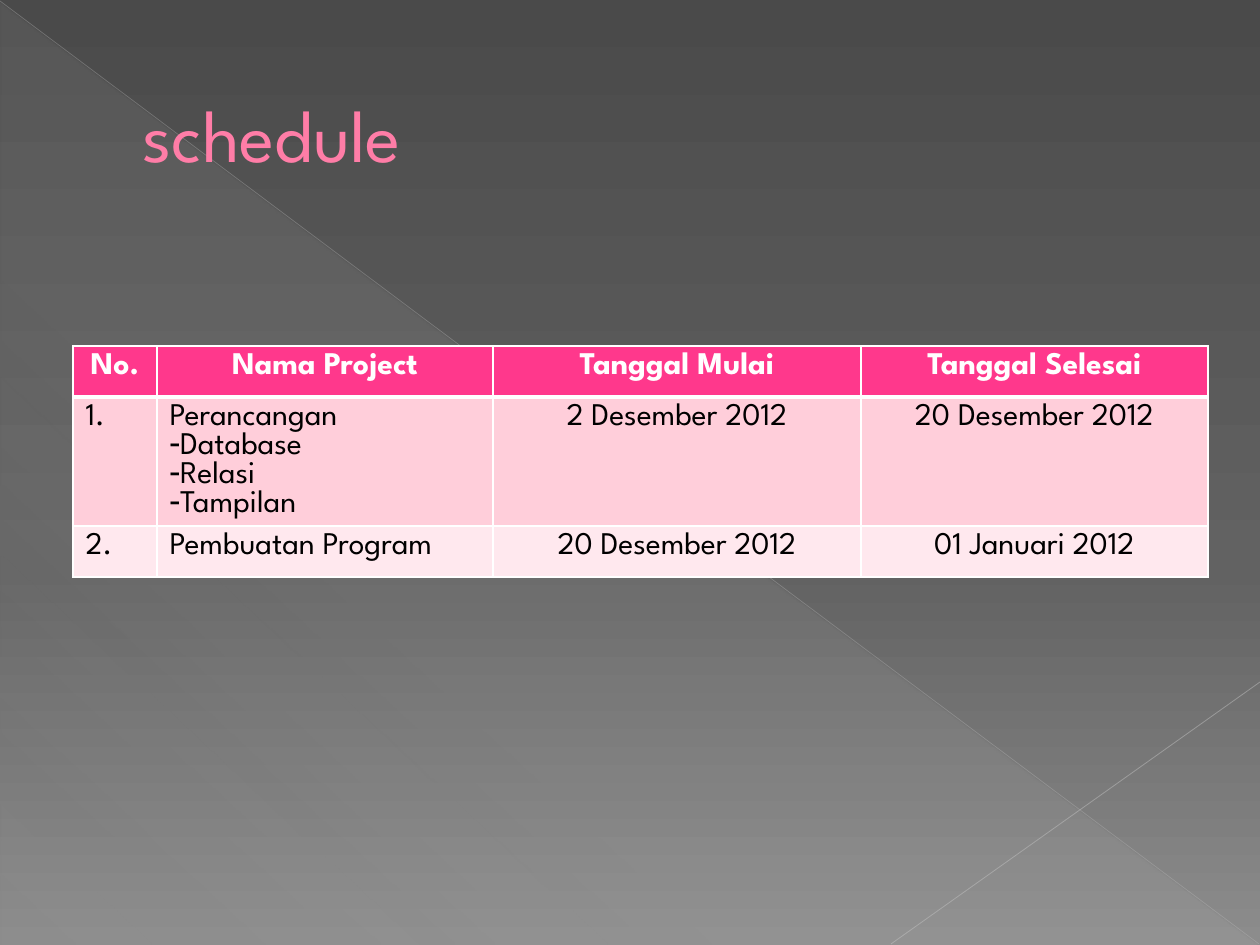
import dataclasses

import lxml.etree
import pptx
import pptx.dml.color
import pptx.enum.shapes
import pptx.enum.text
import pptx.oxml.ns
import pptx.util

PX = 914400 / 126
SLIDE_BOX = (0, 0, 1260, 945)
TITLE_BOX = (63, 37, 1134, 193)
SCHEDULE_BOX = (73, 346, 1135, 231)
COLUMN_WIDTHS = (84, 336, 368, 347)
ROW_HEIGHTS = (51, 129, 51)
LEFT = pptx.enum.text.PP_ALIGN.LEFT
CENTER = pptx.enum.text.PP_ALIGN.CENTER
COLUMN_ALIGNS = (LEFT, LEFT, CENTER, CENTER)
BULLET = "-"
SCHEDULE = (
    ("No.", "Nama Project", "Tanggal Mulai", "Tanggal Selesai"),
    ("1.", "Perancangan\n-Database\n-Relasi\n-Tampilan",
     "2 Desember 2012", "20 Desember 2012"),
    ("2.", "Pembuatan Program", "20 Desember 2012", "01 Januari 2012"),
)


@dataclasses.dataclass(frozen=True)
class Theme:
    font: str = "League Spartan"
    title_size: float = 42
    table_size: float = 18
    title: str = "FF7DA7"
    title_outline: str = "B12761"
    header_text: str = "FFFFFF"
    body_text: str = "000000"
    border: str = "FFFFFF"
    row_fills: tuple = ("FF388C", "FFCEDA", "FFE8EE")
    # Gradient stops: position, colour, opacity, all but colour in percent
    background: tuple = ((0, "4A4A4A", 100), (60, "626262", 100), (100, "8C8C8C", 100))
    triangle: tuple = ((0, "D2D2D2", 10), (70, "D2D2D2", 8), (100, "D2D2D2", 1))
    diagonal: str = "BFBFBF"
    corner_line: str = "C6C6C6"


THEME = Theme()


def emu(px):
    return round(px * PX)


def rgb(color):
    return pptx.dml.color.RGBColor.from_string(color)


def add_xml(parent, tag, **attributes):
    return lxml.etree.SubElement(parent, pptx.oxml.ns.qn(tag), attributes)


def add_color(parent, color, opacity=100):
    color_xml = add_xml(parent, "a:srgbClr", val=color)
    if opacity < 100:
        add_xml(color_xml, "a:alpha", val=str(opacity * 1000))


def set_gradient(fill, owner, stops, angle):
    """Fill with any number of stops; angle runs clockwise in degrees."""
    fill.gradient()
    fill.gradient_angle = 360 - angle
    stop_list = next(owner.iter(pptx.oxml.ns.qn("a:gsLst")))
    for default_stop in list(stop_list):
        stop_list.remove(default_stop)
    for position, color, opacity in stops:
        stop = add_xml(stop_list, "a:gs", pos=str(position * 1000))
        add_color(stop, color, opacity)


def write_text(frame, text, *, size, color, align=LEFT, bold=False, indent=0):
    """Write one paragraph per line; a leading dash becomes a bullet."""
    for index, line in enumerate(text.split("\n")):
        paragraph = frame.add_paragraph() if index else frame.paragraphs[0]
        paragraph.alignment = align
        properties = paragraph._p.get_or_add_pPr()
        properties.set("marL", str(emu(indent)))
        properties.set("indent", "0")
        if line.startswith(BULLET):
            add_xml(properties, "a:buChar", char=BULLET)
        run = paragraph.add_run()
        run.text = line.removeprefix(BULLET)
        run.font.name = THEME.font
        run.font.size = pptx.util.Pt(size)
        run.font.bold = bold
        run.font.color.rgb = rgb(color)


def add_line(slide, start, end, color, width, opacity):
    line = slide.shapes.add_connector(
        pptx.enum.shapes.MSO_CONNECTOR.STRAIGHT, *map(emu, start + end))
    line.line.width = pptx.util.Pt(width)
    line.line.color.rgb = rgb(color)
    color_xml = next(line._element.spPr.iter(pptx.oxml.ns.qn("a:srgbClr")))
    add_xml(color_xml, "a:alpha", val=str(opacity * 1000))
    add_xml(line._element.spPr, "a:effectLst")


def draw_backdrop(slide, box):
    left, top, width, height = box
    right, bottom = left + width, top + height
    set_gradient(slide.background.fill, slide._element, THEME.background, 90)
    triangle = slide.shapes.add_shape(
        pptx.enum.shapes.MSO_SHAPE.RIGHT_TRIANGLE,
        *map(emu, (left + 1, top + 3, width - 3, height - 3)))
    triangle.shadow.inherit = False
    triangle.line.fill.background()
    set_gradient(triangle.fill, triangle._element, THEME.triangle, 133)
    add_line(slide, (left, top + 1), (right - 1, bottom - 1), THEME.diagonal, 0.39, 35)
    add_line(slide, (right, top + 682), (left + 891, bottom - 1),
             THEME.corner_line, 0.47, 45)


def place_title(slide, box, text):
    title = slide.shapes.title
    title.left, title.top, title.width, title.height = map(emu, box)
    title.text_frame.vertical_anchor = pptx.enum.text.MSO_ANCHOR.MIDDLE
    write_text(title.text_frame, text, size=THEME.title_size, color=THEME.title, indent=67)
    font_xml = title.text_frame.paragraphs[0].runs[0].font._element
    outline = add_xml(font_xml, "a:ln", w=str(pptx.util.Pt(0.5)))
    add_color(add_xml(outline, "a:solidFill"), THEME.title_outline)
    font_xml.insert(0, outline)
    # Bring the title in front of the backdrop
    slide.shapes._spTree.append(title._element)


def set_borders(cell, top, bottom):
    properties = cell._tc.get_or_add_tcPr()
    for side, width in (("L", 1), ("R", 1), ("T", top), ("B", bottom)):
        border = add_xml(properties, f"a:ln{side}", w=str(pptx.util.Pt(width)))
        add_color(add_xml(border, "a:solidFill"), THEME.border)


def draw_schedule(slide, box):
    table = slide.shapes.add_table(
        len(SCHEDULE), len(COLUMN_WIDTHS), *map(emu, box)).table
    for column, width in zip(table.columns, COLUMN_WIDTHS):
        column.width = emu(width)
    for row_index, entries in enumerate(SCHEDULE):
        table.rows[row_index].height = emu(ROW_HEIGHTS[row_index])
        header = row_index == 0
        for column_index, entry in enumerate(entries):
            cell = table.cell(row_index, column_index)
            set_borders(cell, top=3 if row_index == 1 else 1, bottom=3 if header else 1)
            cell.fill.solid()
            cell.fill.fore_color.rgb = rgb(THEME.row_fills[row_index])
            write_text(cell.text_frame, entry, size=THEME.table_size, bold=header,
                       color=THEME.header_text if header else THEME.body_text,
                       align=CENTER if header else COLUMN_ALIGNS[column_index])


def main():
    presentation = pptx.Presentation()
    presentation.slide_width, presentation.slide_height = map(emu, SLIDE_BOX[2:])
    slide = presentation.slides.add_slide(
        presentation.slide_layouts.get_by_name("Title Only"))
    draw_backdrop(slide, SLIDE_BOX)
    place_title(slide, TITLE_BOX, "schedule")
    draw_schedule(slide, SCHEDULE_BOX)
    presentation.save("out.pptx")


if __name__ == "__main__":
    main()
